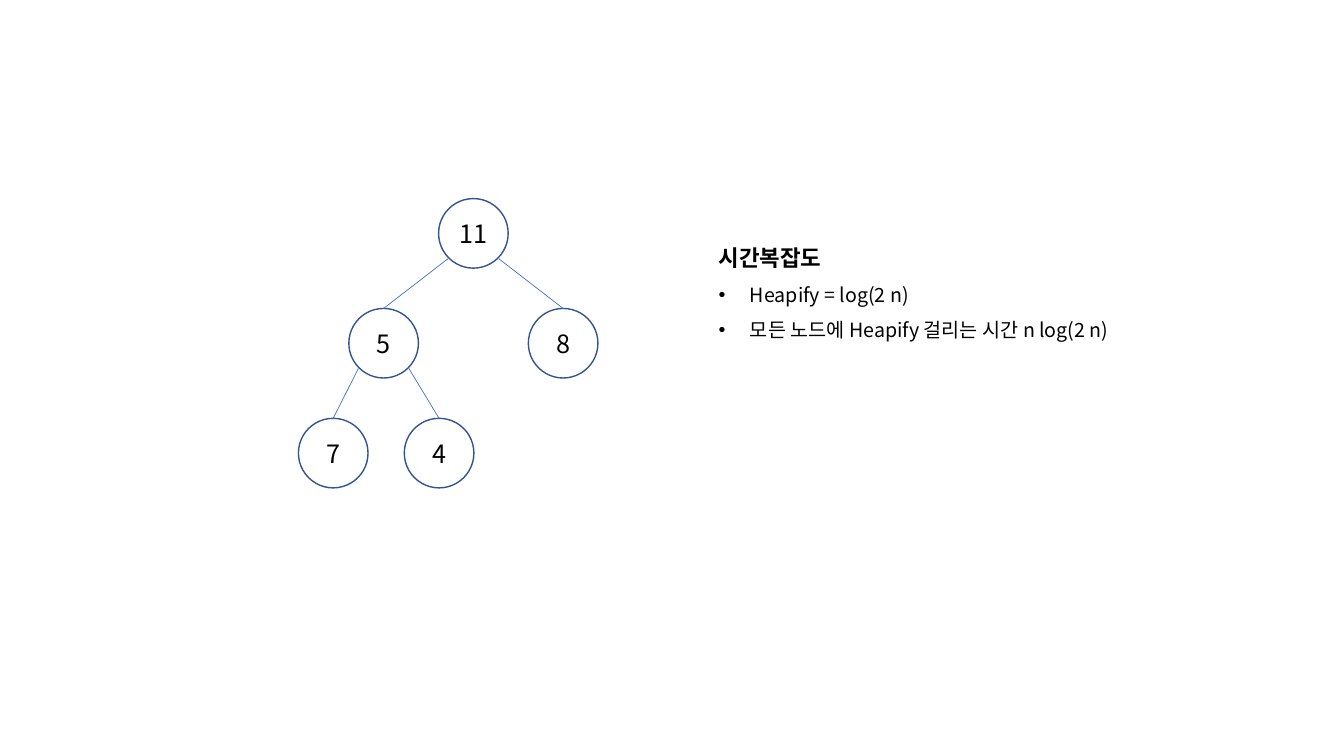
from pptx import Presentation
from pptx.dml.color import RGBColor
from pptx.enum.shapes import MSO_CONNECTOR, MSO_SHAPE
from pptx.enum.text import MSO_ANCHOR, MSO_AUTO_SIZE, PP_ALIGN
from pptx.oxml.ns import qn
from pptx.util import Inches, Pt
from lxml.etree import SubElement

BLACK = RGBColor(0, 0, 0)
WHITE = RGBColor(255, 255, 255)
NAVY = RGBColor(0x32, 0x54, 0x91)
BLUE = RGBColor(0x44, 0x72, 0xC4)
FACE = "Noto Sans CJK KR"
SIZE = 0.69
HALF = SIZE / 2
DIAG = 0.25


def write(para, text, style):
    run = para.add_run()
    run.text = text
    for key, value in style.items():
        setattr(run.font, key, value)
    run.font.color.rgb = BLACK
    SubElement(run.font._element, qn("a:ea"), typeface=FACE)


deck = Presentation()
deck.slide_width = Inches(13.33)
deck.slide_height = Inches(7.5)
slide = deck.slides.add_slide(deck.slide_layouts[6])
shapes = slide.shapes

nodes = {
    "11": (4.35, 1.97),
    "5": (3.46, 3.06),
    "8": (5.24, 3.06),
    "4": (4.01, 4.15),
    "7": (2.96, 4.15),
}
for label, (left, top) in nodes.items():
    node = shapes.add_shape(MSO_SHAPE.OVAL, Inches(left), Inches(top), Inches(SIZE), Inches(SIZE))
    node.shadow.inherit = False
    node.fill.solid()
    node.fill.fore_color.rgb = WHITE
    node.line.color.rgb = NAVY
    node.line.width = Pt(1)
    frame = node.text_frame
    frame.vertical_anchor = MSO_ANCHOR.MIDDLE
    para = frame.paragraphs[0]
    para.alignment = PP_ALIGN.CENTER
    write(para, label, {"name": FACE, "size": Pt(18)})

edges = [("11", "5", -1), ("11", "8", 1), ("5", "7", -1), ("5", "4", 1)]
for parent, child, side in edges:
    left, top = nodes[parent]
    end, base = nodes[child]
    edge = shapes.add_connector(
        MSO_CONNECTOR.STRAIGHT,
        Inches(left + HALF + side * DIAG), Inches(top + HALF + DIAG),
        Inches(end + HALF), Inches(base),
    )
    edge.line.color.rgb = BLUE
    edge.line.width = Pt(0.5)
    SubElement(edge._element.spPr, qn("a:effectLst"))

frame = shapes.add_textbox(Inches(7.03), Inches(2.4), Inches(4.28), Inches(0.82)).text_frame
frame.word_wrap = True
frame.auto_size = MSO_AUTO_SIZE.NONE
notes = [
    ("시간복잡도", 16, True),
    ("Heapify = log(2 n)", 14, False),
    ("모든 노드에 Heapify 걸리는 시간 n log(2 n)", 14, False),
]
for rank, (text, size, head) in enumerate(notes):
    para = frame.add_paragraph() if rank else frame.paragraphs[0]
    para.line_spacing = 0.9
    para.space_before = Pt(10)
    if not head:
        props = para._p.get_or_add_pPr()
        props.set("marL", str(Inches(0.31)))
        props.set("indent", str(Inches(-0.31)))
        SubElement(props, qn("a:buFont"), typeface="Arial")
        SubElement(props, qn("a:buChar"), char="•")
    write(para, text, {"name": FACE, "size": Pt(size), "bold": head})

deck.save("out.pptx")
